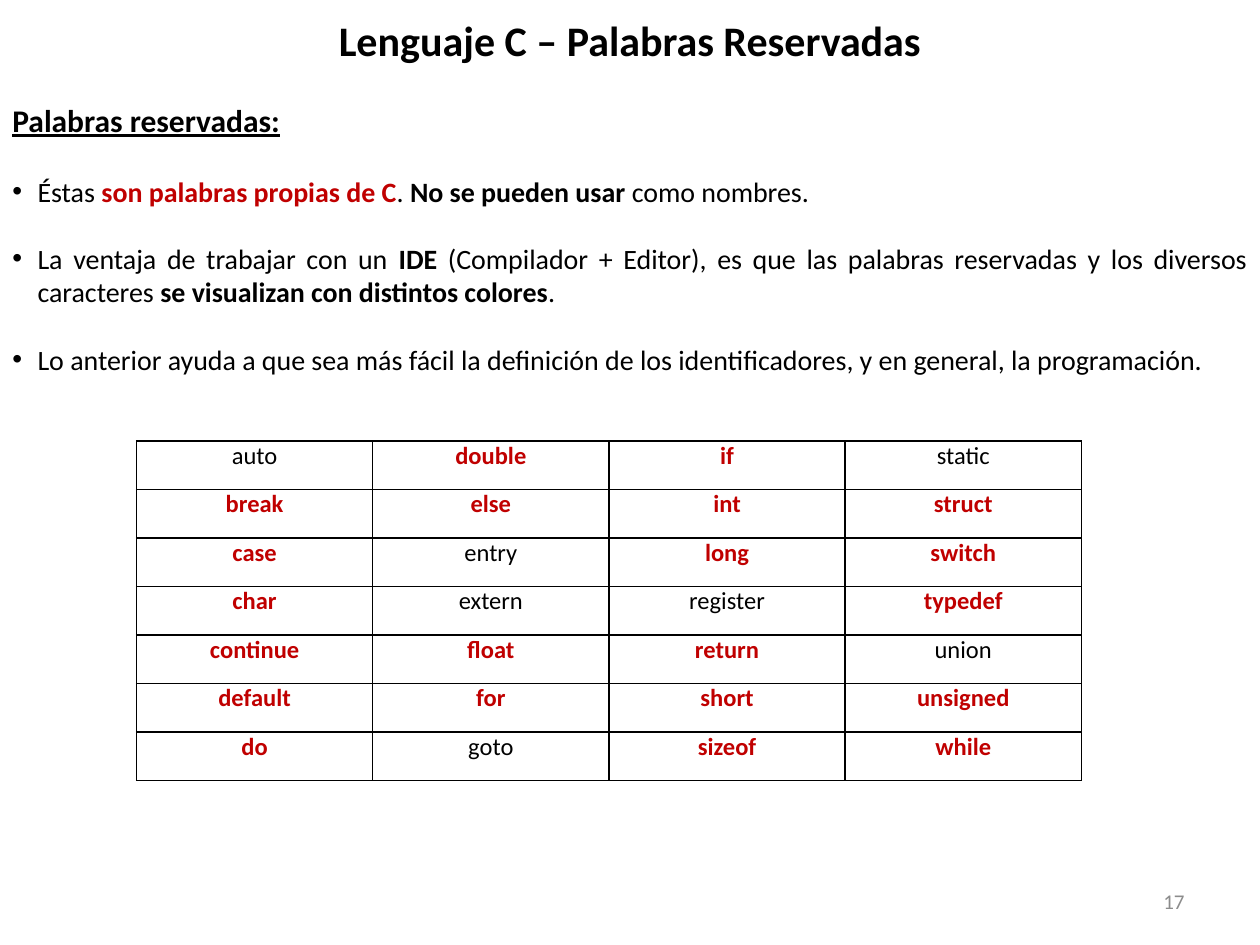
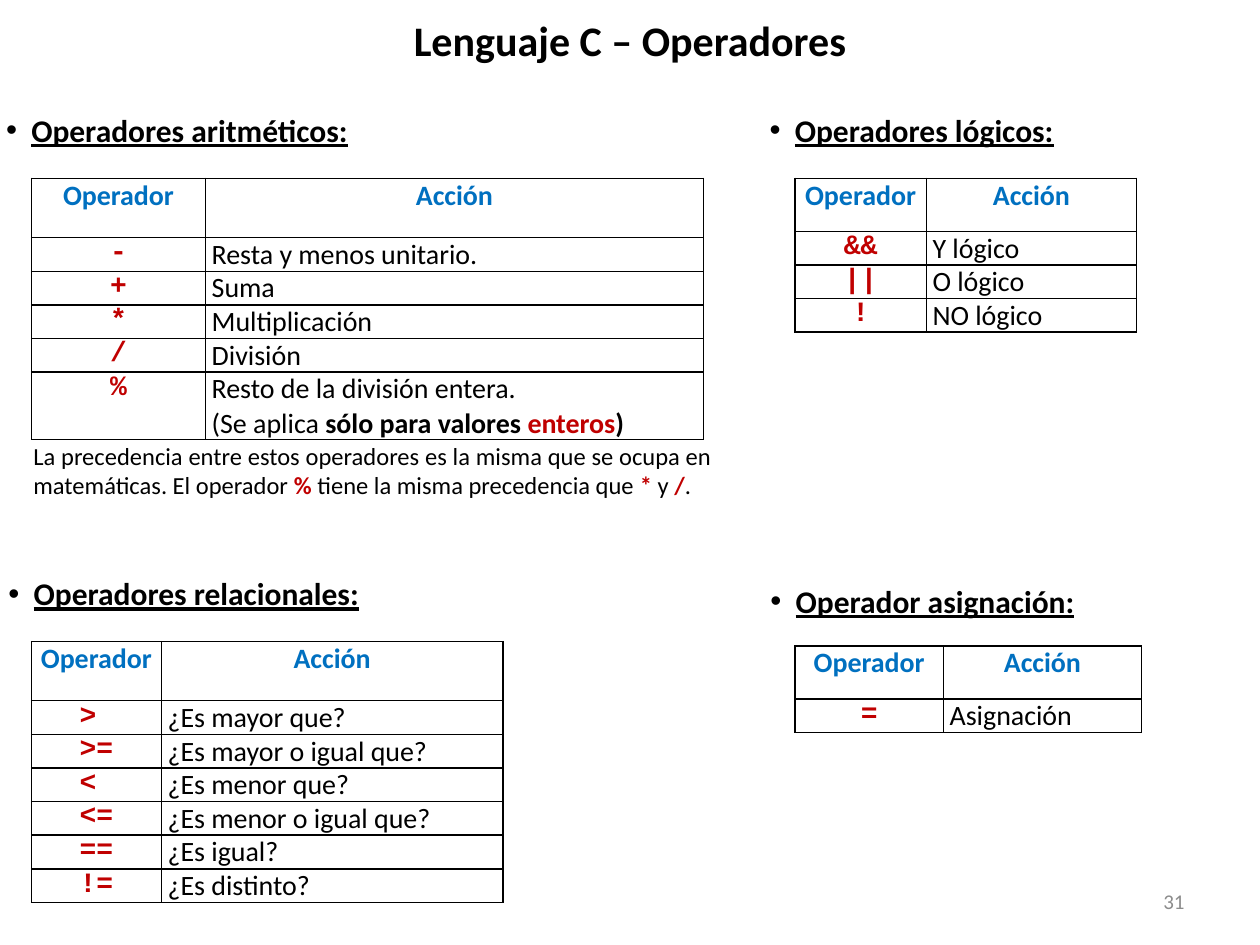
import pptx
import pptx.util
import pptx.dml.color
import pptx.enum.text
import pptx.oxml.ns
import lxml.etree

Pt = pptx.util.Pt
qn = pptx.oxml.ns.qn
hue = pptx.dml.color.RGBColor.from_string
ALIGN = pptx.enum.text.PP_ALIGN
ANCHOR = pptx.enum.text.MSO_ANCHOR

# Shared look
BLACK, RED, BLUE, GREY = "000000", "C00000", "0070C0", "8C8C8C"
SANS, MONO = "Calibri", "Courier New"
LINE = 19.2  # height of one row of 16 pt text


def write(place, text, box=None, size=16, color=BLACK, bold=False, under=False,
          font=SANS, align="JUSTIFY", anchor="TOP", bullet=False, gap=0):
    """Fill a cell, or a new text box on a slide when box is given.

    Text is a string or a list of paragraphs; a paragraph is a string or a
    list of (words, mark) runs, with mark "b" for bold and "r" for bold red.
    """
    if box:
        place = place.shapes.add_textbox(*[Pt(n) for n in box])
        place.text_frame.word_wrap = True
    frame = place.text_frame
    frame.vertical_anchor = ANCHOR[anchor]
    paras = [text] if isinstance(text, str) else text
    for i, item in enumerate(paras):
        para = frame.paragraphs[0] if i == 0 else frame.add_paragraph()
        para.alignment = ALIGN[align]
        para.space_after = Pt(gap)
        if bullet:
            props = para._p.get_or_add_pPr()
            props.set("marL", str(Pt(14.4)))
            props.set("indent", str(Pt(-14.4)))
            lxml.etree.SubElement(props, qn("a:buFont")).set("typeface", "Arial")
            lxml.etree.SubElement(props, qn("a:buChar")).set("char", "•")
        for words, mark in [(item, "")] if isinstance(item, str) else item:
            run = para.add_run()
            run.text = words
            run.font.name = font
            run.font.size = Pt(size)
            run.font.bold = bold or mark != ""
            run.font.underline = under
            run.font.color.rgb = hue(RED if mark == "r" else color)


def grid(slide, left, top, cols, rows):
    """Add an unfilled table with thin black borders."""
    table = slide.shapes.add_table(len(rows), len(cols), Pt(left), Pt(top),
                                   Pt(sum(cols)), Pt(sum(rows))).table
    table.first_row = table.horz_banding = False
    for col, width in zip(table.columns, cols):
        col.width = Pt(width)
    for row, height in zip(table.rows, rows):
        row.height = Pt(height)
    for cell in table.iter_cells():
        cell.margin_left = cell.margin_right = Pt(3.6)
        cell.margin_top = cell.margin_bottom = 0
        cell.fill.background()
        props = cell._tc.get_or_add_tcPr()
        for i, side in enumerate(["a:lnL", "a:lnR", "a:lnT", "a:lnB"]):
            edge = lxml.etree.Element(qn(side), w=str(Pt(1)))
            fill = lxml.etree.SubElement(edge, qn("a:solidFill"))
            lxml.etree.SubElement(fill, qn("a:srgbClr")).set("val", BLACK)
            props.insert(i, edge)
    return table


deck = pptx.Presentation()
deck.slide_width, deck.slide_height = Pt(720), Pt(540)

# Title and page number of each slide
pages = []
for title, number in [("Lenguaje C – Palabras Reservadas", "17"),
                      ("Lenguaje C – Operadores", "31")]:
    page = deck.slides.add_slide(deck.slide_layouts[6])
    write(page, title, box=(36, 0, 648, 45), size=24, bold=True,
          align="CENTER", anchor="MIDDLE")
    write(page, number, box=(516, 500.5, 168, 28.8), size=12, color=GREY,
          align="RIGHT", anchor="MIDDLE")
    pages.append(page)
first, second = pages

# Reserved words: heading and points
write(first, "Palabras reservadas:", box=(0, 54, 720, 29), size=18,
      bold=True, under=True)
write(first, [
    [("Éstas ", ""), ("son palabras propias de C", "r"), (". ", ""),
     ("No se pueden usar ", "b"), ("como nombres.", "")],
    [("La ventaja de trabajar con un ", ""), ("IDE ", "b"),
     ("(Compilador + Editor), es que las palabras reservadas y los diversos caracteres ", ""),
     ("se visualizan con distintos colores", "b"), (".", "")],
    "Lo anterior ayuda a que sea más fácil la definición de los "
    "identificadores, y en general, la programación.",
], box=(0, 96, 720, 124), bullet=True, gap=19.2)

# Reserved words: table, read down each column
words = """auto break case char continue default do
double else entry extern float for goto
if int long register return short sizeof
static struct switch typedef union unsigned while""".split()
plain = {"auto", "entry", "extern", "goto", "register", "static", "union"}
table = grid(first, 78, 252, [135] * 4, [27.7] * 7)
for i, word in enumerate(words):
    key = word not in plain
    write(table.cell(i % 7, i // 7), word, size=14, bold=key,
          color=RED if key else BLACK, align="CENTER", anchor="MIDDLE")

# Operators: heading place, table place, columns, header height, anchor, rows
parts = [
    ("Operadores aritméticos:", (-3.6, 59.8, 274, 29), (18, 102),
     (99.4, 284.6), 33.8, "MIDDLE", [
         ("-", "Resta y menos unitario."),
         ("+", "Suma"),
         ("*", "Multiplicación"),
         ("/", "División"),
         ("%", ["Resto de la división entera.",
                [("(Se aplica ", ""), ("sólo para valores ", "b"),
                 ("enteros", "r"), (")", "b")]])]),
    ("Operadores relacionales:", (-2.2, 324.6, 720, 29), (18, 366.6),
     (74.2, 195.2), 33.8, "MIDDLE", [
         ("> ", "¿Es mayor que?"),
         (">=", "¿Es mayor o igual que?"),
         ("< ", "¿Es menor que?"),
         ("<=", "¿Es menor o igual que?"),
         ("==", "¿Es igual?"),
         ("!=", "¿Es distinto?")]),
    ("Operadores lógicos:", (432.7, 59.8, 227, 29), (454.3, 102),
     (75, 120.2), 30.2, "TOP", [
         ("&&", "Y lógico"),
         ("||", "O lógico"),
         ("!", "NO lógico")]),
    ("Operador asignación:", (433.2, 329, 227, 29), (454.3, 369.2),
     (84.8, 113.2), 30.2, "TOP", [("=", "Asignación")]),
]
for name, box, spot, cols, head, anchor, rows in parts:
    write(second, name, box=box, size=18, bold=True, under=True, bullet=True)
    tall = [LINE * (1 if isinstance(text, str) else len(text)) for _, text in rows]
    table = grid(second, *spot, cols, [head] + tall)
    for c, label in enumerate(["Operador", "Acción"]):
        write(table.cell(0, c), label, color=BLUE, bold=True,
              align="CENTER", anchor="MIDDLE")
    for r, (sign, text) in enumerate(rows, 1):
        write(table.cell(r, 0), sign, font=MONO, color=RED, bold=True,
              align="CENTER", anchor=anchor)
        write(table.cell(r, 1), text, align="LEFT", anchor=anchor)

# Note on precedence
write(second, [[
    ("La precedencia entre estos operadores es la misma que se ocupa en "
     "matemáticas. El operador ", ""), ("% ", "r"),
    ("tiene la misma precedencia que ", ""), ("*", "r"), (" y ", ""),
    ("/", "r"), (".", "")]], box=(12, 248.4, 402, 41), size=14)

deck.save("out.pptx")
